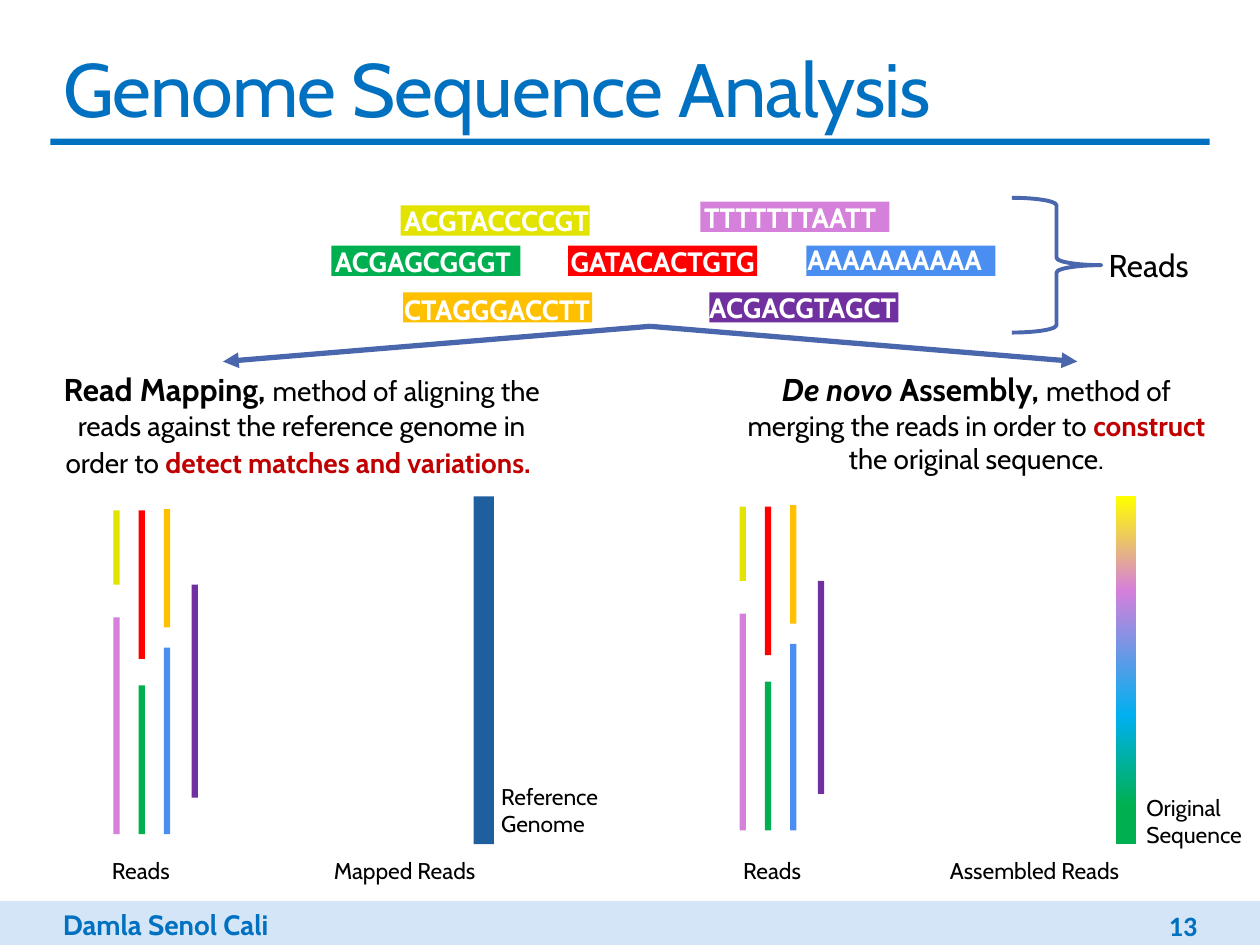
from lxml import etree
from pptx import Presentation
from pptx.dml.color import RGBColor
from pptx.enum.shapes import MSO_CONNECTOR, MSO_SHAPE
from pptx.enum.text import MSO_ANCHOR, PP_ALIGN
from pptx.oxml.ns import qn
from pptx.util import Inches, Pt

RECTANGLE, BRACE = MSO_SHAPE.RECTANGLE, MSO_SHAPE.RIGHT_BRACE
STRAIGHT = MSO_CONNECTOR.STRAIGHT
MIDDLE = MSO_ANCHOR.MIDDLE
LEFT, CENTER, RIGHT = PP_ALIGN.LEFT, PP_ALIGN.CENTER, PP_ALIGN.RIGHT

BLACK = RGBColor(0x00, 0x00, 0x00)
WHITE = RGBColor(0xFF, 0xFF, 0xFF)
BLUE = RGBColor(0x00, 0x70, 0xC0)
PALE_BLUE = RGBColor(0xD4, 0xE5, 0xF7)
LINE_BLUE = RGBColor(0x4A, 0x66, 0xAC)
GENOME_BLUE = RGBColor(0x1F, 0x5F, 0xA0)
SKY = RGBColor(0x00, 0xB0, 0xF0)
BRIGHT_YELLOW = RGBColor(0xFF, 0xFF, 0x00)
DARK_RED = RGBColor(0xC0, 0x00, 0x00)
YELLOW = RGBColor(0xE3, 0xE3, 0x00)
RED = RGBColor(0xFF, 0x00, 0x00)
PINK = RGBColor(0xD5, 0x80, 0xDB)
ORANGE = RGBColor(0xFF, 0xC0, 0x00)
PURPLE = RGBColor(0x70, 0x30, 0xA0)
READ_BLUE = RGBColor(0x4A, 0x8E, 0xF2)
GREEN = RGBColor(0x00, 0xB0, 0x50)

# sequence, colour, tag left and top, text left and top
TAGS = [
    ("ACGTACCCCGT", YELLOW, 3.18, 1.63, 3.11, 1.57),
    ("GATACACTGTG", RED, 4.51, 1.95, 4.43, 1.89),
    ("TTTTTTTAATT", PINK, 5.56, 1.6, 5.49, 1.54),
    ("CTAGGGACCTT", ORANGE, 3.2, 2.32, 3.11, 2.27),
    ("ACGACGTAGCT", PURPLE, 5.63, 2.32, 5.53, 2.26),
    ("AAAAAAAAAA", READ_BLUE, 6.4, 1.95, 6.31, 1.88),
    ("ACGAGCGGGT", GREEN, 2.63, 1.95, 2.56, 1.89),
]
READ_BARS = [
    (YELLOW, 0.9, 4.05, 0.59),
    (ORANGE, 1.3, 4.04, 0.94),
    (RED, 1.1, 4.05, 1.18),
    (PINK, 0.9, 4.9, 1.72),
    (PURPLE, 1.52, 4.64, 1.69),
    (READ_BLUE, 1.3, 5.14, 1.48),
    (GREEN, 1.1, 5.44, 1.18),
]
SEQUENCE_STOPS = [(0, BRIGHT_YELLOW), (27, PINK), (63, SKY), (89, GREEN)]
MAPPING = [
    ("Read Mapping, ", dict(size=18, bold=True)),
    ("method of aligning the reads against the reference genome in order to ", {}),
    ("detect matches and variations.", dict(color=DARK_RED, bold=True)),
    (" ", dict(size=18)),
]
ASSEMBLY = [
    ("De novo", dict(size=18, bold=True, italic=True)),
    (" Assembly, ", dict(size=18, bold=True)),
    ("method of merging the reads in order to ", {}),
    ("construct ", dict(color=DARK_RED, bold=True)),
    ("the original sequence.", {}),
]


def write(para, text, size=16, color=BLACK, bold=False, italic=False, font="Cabin"):
    """Append a formatted run to a paragraph."""
    span = para.add_run()
    span.text = text
    span.font.name, span.font.size = font, Pt(size)
    span.font.bold, span.font.italic = bold, italic
    span.font.color.rgb = color
    return span


def add_text(shapes, lines, left, top, width, height, align=LEFT, anchor=None, **style):
    """Add a text box; each line is a string or a list of (text, format) spans."""
    box = shapes.add_textbox(Inches(left), Inches(top), Inches(width), Inches(height))
    frame = box.text_frame
    frame.word_wrap = True
    frame.vertical_anchor = anchor
    for index, line in enumerate(lines):
        para = frame.add_paragraph() if index else frame.paragraphs[0]
        para.alignment = align
        for text, extra in [(line, {})] if isinstance(line, str) else line:
            write(para, text, **{**style, **extra})


def add_bar(shapes, color, left, top, width, height):
    """Add a filled rectangle without outline."""
    bar = shapes.add_shape(RECTANGLE, Inches(left), Inches(top), Inches(width), Inches(height))
    bar.shadow.inherit = False
    bar.fill.solid()
    bar.fill.fore_color.rgb = color
    bar.line.fill.background()
    return bar


def shade_downward(bar, stops):
    """Fill a bar with a top-to-bottom gradient of (percent, colour) stops."""
    bar.fill.gradient()
    bar.fill.gradient_angle = 270
    stop_list = bar.fill._fill._gradFill.find(qn("a:gsLst"))
    for old_stop in list(stop_list):
        stop_list.remove(old_stop)
    for percent, color in stops:
        stop = etree.SubElement(stop_list, qn("a:gs"), pos=str(percent * 1000))
        etree.SubElement(stop, qn("a:srgbClr"), val=str(color))


def add_arrow(shapes, start, end):
    """Add a straight line with a triangle at its end."""
    arrow = shapes.add_connector(STRAIGHT, *map(Inches, start + end))
    arrow.line.color.rgb = LINE_BLUE
    arrow.line.width = Pt(3)
    etree.SubElement(arrow.line._get_or_add_ln(), qn("a:tailEnd"), type="triangle")
    etree.SubElement(arrow._element.spPr, qn("a:effectLst"))


def add_brace(shapes, left, top, width, height):
    """Add an outlined right brace."""
    brace = shapes.add_shape(BRACE, Inches(left), Inches(top), Inches(width), Inches(height))
    brace.shadow.inherit = False
    brace.fill.background()
    brace.line.color.rgb = LINE_BLUE
    brace.line.width = Pt(2.25)


def add_tag(shapes, sequence, color, left, top, text_left, text_top):
    """Add a grouped read: a coloured strip under its sequence."""
    group = shapes.add_group_shape()
    add_bar(group.shapes, color, left, top, 1.5, 0.24)
    add_text(group.shapes, [sequence], text_left, text_top, 1.8, 0.37, color=WHITE, bold=True)


def add_read_bars(shapes, shift_x=0, shift_y=0):
    """Add the set of vertical reads, shifted as a whole."""
    for color, left, top, length in READ_BARS:
        add_bar(shapes, color, left + shift_x, top + shift_y, 0.05, length)


def set_title(title, text):
    """Place and format the title placeholder."""
    title.left, title.top, title.width, title.height = map(Inches, (0.4, 0.28, 9.2, 0.82))
    frame = title.text_frame
    frame.vertical_anchor = MIDDLE
    frame.paragraphs[0].alignment = LEFT
    span = write(frame.paragraphs[0], text, size=43.2, color=BLUE)
    span.font._element.set("spc", "-50")


def main():
    """Build and save the slide."""
    deck = Presentation()
    deck.slide_width, deck.slide_height = Inches(10), Inches(7.5)
    page = deck.slides.add_slide(deck.slide_layouts[5])
    shapes = page.shapes

    set_title(shapes.title, "Genome Sequence Analysis")
    add_bar(shapes, PALE_BLUE, 0, 7.15, 10, 0.35)
    add_bar(shapes, BLUE, 0.4, 1.1, 9.2, 0.05)
    add_text(shapes, ["Damla Senol Cali"], 0.4, 7.15, 2.5, 0.37, color=BLUE, bold=True)
    add_text(shapes, ["13"], 8.22, 7.19, 1.38, 0.3, align=RIGHT, anchor=MIDDLE,
             color=BLUE, bold=True, font="Calibri")

    for arrow_end in (1.77, 8.55):
        add_arrow(shapes, (5.16, 2.59), (arrow_end, 2.87))
    for tag in TAGS:
        add_tag(shapes, *tag)
    add_brace(shapes, 8.03, 1.57, 0.71, 1.07)
    add_text(shapes, ["Reads"], 8.7, 1.9, 0.89, 0.4, size=18)

    add_text(shapes, [MAPPING], 0.37, 2.89, 4.05, 0.98, align=CENTER)
    add_text(shapes, [ASSEMBLY], 5.78, 2.89, 3.94, 0.94, align=CENTER)

    add_read_bars(shapes)
    add_read_bars(shapes, 4.97, -0.03)
    add_bar(shapes, GENOME_BLUE, 3.76, 3.94, 0.16, 2.76)
    shade_downward(add_bar(shapes, BLACK, 8.86, 3.94, 0.16, 2.76), SEQUENCE_STOPS)

    add_text(shapes, ["Reference", "Genome"], 3.88, 6.16, 1, 0.54, size=13)
    add_text(shapes, ["Original", "Sequence"], 9, 6.25, 1, 0.54, size=13)
    for left in (0.79, 5.8):
        add_text(shapes, ["Reads"], left, 6.75, 0.7, 0.32, size=13)
    for label, left in (("Mapped Reads", 2.4), ("Assembled Reads", 7.4)):
        add_text(shapes, [label], left, 6.75, 1.62, 0.32, align=CENTER, size=13)

    deck.save("out.pptx")


if __name__ == "__main__":
    main()
